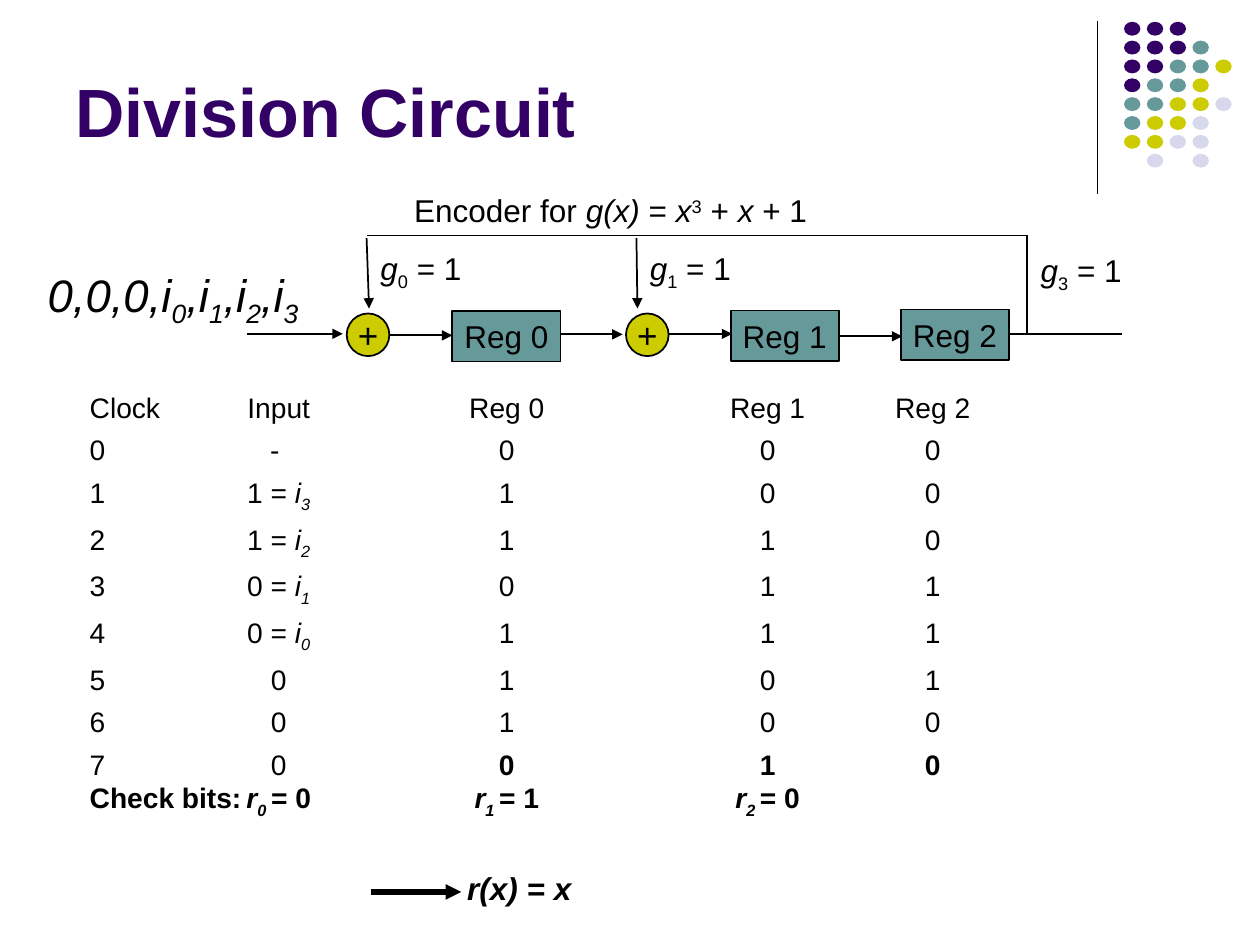
from dataclasses import dataclass
from typing import NamedTuple

from lxml import etree
from pptx import Presentation
from pptx import util as u
from pptx.dml import color
from pptx.enum import shapes, text
from pptx.oxml import ns

INK, PLUM, TEAL, LIME, MIST = "000000", "330066", "669999", "CCCC00", "D8D8EC"
TABS = (1.5, 3.31, 5.38, 6.69)
SUB, SUP = -25, 30


class Bit(NamedTuple):
    text: str
    ital: bool = False
    base: int = 0
    bold: bool = False


@dataclass
class Wire:
    x1: float
    y1: float
    x2: float
    y2: float
    tip: bool = True
    width: float = 1


@dataclass
class Node:
    x: float
    y: float
    w: float
    h: float
    kind: shapes.MSO_SHAPE
    fill: str
    label: str
    size: float


@dataclass
class Label:
    x: float
    y: float
    w: float
    h: float
    bits: list[Bit]
    size: float = 18


def rgb(tone: str) -> color.RGBColor:
    return color.RGBColor.from_string(tone)


def cms(*dims: float) -> list[u.Length]:
    return [u.Cm(dim) for dim in dims]


def write(para, bits: list[Bit], size: float, tone: str = INK) -> None:
    for bit in bits:
        run = para.add_run()
        run.text = bit.text
        font = run.font
        font.name, font.size = "Arial", u.Pt(size)
        font.bold, font.italic = bit.bold, bit.ital
        font.color.rgb = rgb(tone)
        if bit.base:
            font._element.set("baseline", str(bit.base * 1000))


def draw_wire(slide, wire: Wire) -> None:
    ends = cms(wire.x1, wire.y1, wire.x2, wire.y2)
    link = slide.shapes.add_connector(shapes.MSO_CONNECTOR.STRAIGHT, *ends)
    link.line.color.rgb = rgb(INK)
    link.line.width = u.Pt(wire.width)
    if wire.tip:
        etree.SubElement(link.line._get_or_add_ln(), ns.qn("a:tailEnd"), type="triangle")
    etree.SubElement(link._element.spPr, ns.qn("a:effectLst"))


def add_form(slide, kind, box: list[u.Length], fill: str):
    form = slide.shapes.add_shape(kind, *box)
    form.shadow.inherit = False
    form.fill.solid()
    form.fill.fore_color.rgb = rgb(fill)
    form.line.fill.background()
    return form


def draw_node(slide, node: Node) -> None:
    form = add_form(slide, node.kind, cms(node.x, node.y, node.w, node.h), node.fill)
    form.line.color.rgb = rgb(INK)
    form.line.width = u.Pt(1)
    frame = form.text_frame
    frame.word_wrap = False
    frame.vertical_anchor = text.MSO_ANCHOR.MIDDLE
    para = frame.paragraphs[0]
    para.alignment = text.PP_ALIGN.CENTER
    write(para, [Bit(node.label)], node.size)


def draw_label(slide, label: Label) -> None:
    box = slide.shapes.add_textbox(*cms(label.x, label.y, label.w, label.h))
    frame = box.text_frame
    frame.word_wrap = False
    frame.auto_size = text.MSO_AUTO_SIZE.SHAPE_TO_FIT_TEXT
    write(frame.paragraphs[0], label.bits, label.size)


def draw_dots(slide) -> None:
    tones = {"P": PLUM, "T": TEAL, "L": LIME, "M": MIST}
    rows = ("PPP", "PPPT", "PPTTL", "PTTL", "TTLLM", "TLLM", "LLMM", ".M.M")
    for j, row in enumerate(rows):
        for i, key in enumerate(row):
            if key in tones:
                box = cms(22.66 + 0.46 * i, 0.44 + 0.38 * j, 0.33, 0.28)
                add_form(slide, shapes.MSO_SHAPE.OVAL, box, tones[key])


def add_title(slide) -> None:
    title = slide.shapes.title
    title.left, title.top, title.width, title.height = cms(1.27, 0.33, 20.96, 2.84)
    frame = title.text_frame
    frame.auto_size = text.MSO_AUTO_SIZE.NONE
    frame.vertical_anchor = text.MSO_ANCHOR.BOTTOM
    para = frame.paragraphs[0]
    para.alignment = text.PP_ALIGN.LEFT
    write(para, [Bit("Division Circuit", bold=True)], 39, PLUM)


def set_tabs(para) -> None:
    stops = etree.SubElement(para._p.get_or_add_pPr(), ns.qn("a:tabLst"))
    for pos in TABS:
        etree.SubElement(stops, ns.qn("a:tab"), pos=str(u.Inches(pos)), algn="ctr")


def step(clock: int, value: int, index: int, regs: str) -> list[Bit]:
    return [Bit(f"{clock}\t{value} = "), Bit("i", True),
            Bit(f"{index}\t", True, SUB), Bit(regs)]


def check(index: int, tail: str) -> list[Bit]:
    return [Bit("r", True, 0, True), Bit(f"{index} ", True, SUB, True),
            Bit(f"= {tail}", bold=True)]


def draw_steps(slide) -> None:
    rows = [
        [Bit("Clock\tInput\tReg 0\tReg 1\tReg 2")],
        [Bit("0\t- \t0\t0\t0")],
        step(1, 1, 3, "1\t0\t0"),
        step(2, 1, 2, "1\t1\t0"),
        step(3, 0, 1, "0\t1\t1"),
        step(4, 0, 0, "1\t1\t1"),
        [Bit("5\t0\t1\t0\t1")],
        [Bit("6\t0\t1\t0\t0")],
        [Bit("7\t0\t"), Bit("0\t1\t0", bold=True)],
    ]
    sums = [Bit("Check bits:\t", bold=True),
            *check(0, "0\t"), *check(1, "1\t"), *check(2, "0")]
    frame = slide.shapes.add_textbox(*cms(1.56, 7.75, 20.27, 9.37)).text_frame
    frame.word_wrap = True
    for i, row in enumerate(rows):
        para = frame.add_paragraph() if i else frame.paragraphs[0]
        set_tabs(para)
        para.space_before = u.Pt(4.8 if i else 0)
        write(para, row, 16.1)
    para.add_line_break()
    write(para, sums, 16.1)


def gain(x: float, y: float, index: int) -> Label:
    return Label(x, y, 2.2, 1.12, [Bit("g", True), Bit(str(index), base=SUB), Bit(" = 1")])


def reg(x: float, y: float, index: int) -> Node:
    return Node(x, y, 2.18, 1.02, shapes.MSO_SHAPE.RECTANGLE, TEAL, f"Reg {index}", 18)


def plus(x: float) -> Node:
    return Node(x, 6.32, 0.86, 0.86, shapes.MSO_SHAPE.OVAL, LIME, "+", 20)


def main() -> None:
    deck = Presentation()
    deck.slide_width, deck.slide_height = cms(25.4, 19.05)
    slide = deck.slides.add_slide(deck.slide_layouts[5])
    add_title(slide)
    draw_dots(slide)
    draw_steps(slide)

    wires = [
        Wire(22.12, 0.43, 22.12, 3.91, False, 0.75),
        Wire(7.47, 17.98, 9.3, 17.98, width=3),
        Wire(4.98, 6.73, 6.91, 6.73),
        Wire(7.85, 6.76, 9.12, 6.76),
        Wire(11.28, 6.74, 12.55, 6.74),
        Wire(13.49, 6.73, 14.76, 6.73),
        Wire(16.92, 6.78, 18.19, 6.78),
        Wire(20.24, 6.73, 22.61, 6.73, False),
        Wire(20.7, 6.71, 20.7, 4.74, False),
        Wire(20.7, 4.75, 7.39, 4.75, False),
        Wire(7.39, 4.8, 7.44, 6.22),
        Wire(12.83, 4.8, 12.85, 6.22),
    ]
    for wire in wires:
        draw_wire(slide, wire)

    nodes = [plus(6.99), plus(12.62), reg(9.12, 6.27, 0),
             reg(14.73, 6.26, 1), reg(18.16, 6.24, 2)]
    for node in nodes:
        draw_node(slide, node)

    feed = [Bit("0,0,0,i", True), Bit("0", True, SUB)]
    for i in range(1, 4):
        feed += [Bit(",i", True), Bit(str(i), True, SUB)]
    poly = [Bit("Encoder for "), Bit("g(x)", True), Bit(" = "), Bit("x", True),
            Bit("3", base=SUP), Bit(" + "), Bit("x", True), Bit(" + 1")]
    labels = [
        Label(8.1, 3.73, 8.43, 1.02, poly),
        Label(0.71, 5.26, 5.56, 1.52, feed, 26),
        gain(7.42, 4.9, 0), gain(12.85, 4.9, 1), gain(20.73, 4.93, 3),
        Label(9.17, 17.4, 2.62, 1.02, [Bit("r(x) = x", True, 0, True)]),
    ]
    for label in labels:
        draw_label(slide, label)
    deck.save("out.pptx")


if __name__ == "__main__":
    main()
